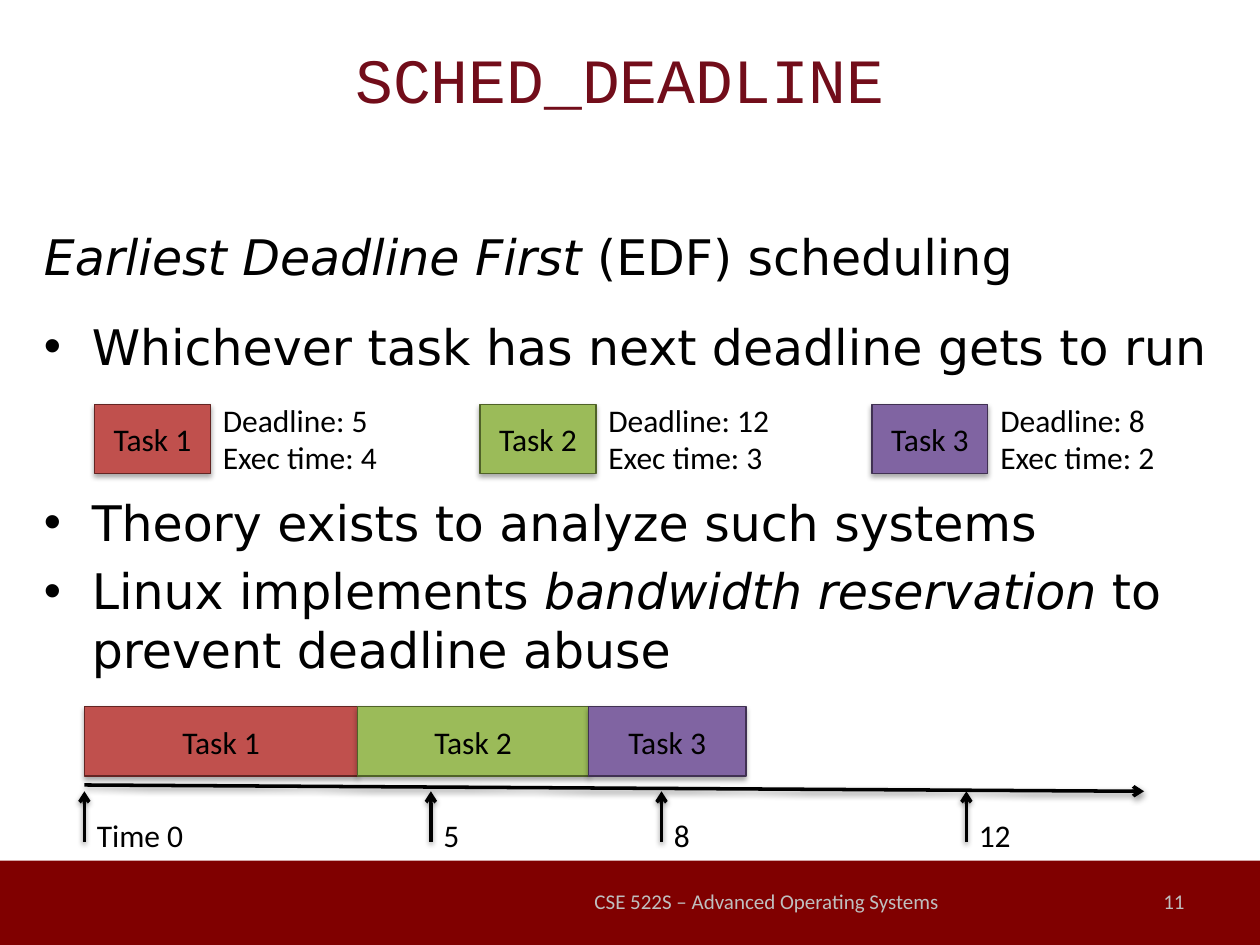
from lxml import etree
from pptx import Presentation
from pptx.dml.color import RGBColor
from pptx.enum.shapes import MSO_CONNECTOR, MSO_SHAPE
from pptx.enum.text import MSO_ANCHOR, MSO_AUTO_SIZE, PP_ALIGN
from pptx.oxml.ns import qn
from pptx.util import Inches, Pt

RECTANGLE = MSO_SHAPE.RECTANGLE
STRAIGHT = MSO_CONNECTOR.STRAIGHT
MIDDLE, TOP = MSO_ANCHOR.MIDDLE, MSO_ANCHOR.TOP
LEFT, CENTER, RIGHT = PP_ALIGN.LEFT, PP_ALIGN.CENTER, PP_ALIGN.RIGHT
GROW = MSO_AUTO_SIZE.SHAPE_TO_FIT_TEXT

BLACK = RGBColor(0x00, 0x00, 0x00)
MAROON = RGBColor(0x80, 0x00, 0x00)
TITLE_RED = RGBColor(0x72, 0x0D, 0x1A)
FOOTER_GRAY = RGBColor(0xBF, 0xBF, 0xBF)
RED, DARK_RED = RGBColor(0xC0, 0x50, 0x4D), RGBColor(0x63, 0x25, 0x23)
GREEN, DARK_GREEN = RGBColor(0x9B, 0xBB, 0x59), RGBColor(0x4F, 0x62, 0x28)
PURPLE, DARK_PURPLE = RGBColor(0x80, 0x64, 0xA2), RGBColor(0x40, 0x31, 0x52)

# Name, fill, outline, legend left, deadline, execution time, bar width
TASKS = [
    ("Task 1", RED, DARK_RED, 0.75, 5, 4, 2.17),
    ("Task 2", GREEN, DARK_GREEN, 3.81, 12, 3, 1.83),
    ("Task 3", PURPLE, DARK_PURPLE, 6.92, 8, 2, 1.25),
]
# Label, position, label width
TIME_MARKS = [("Time 0", 0.67, 0.9), ("5", 3.42, 0.33),
              ("8", 5.25, 0.33), ("12", 7.67, 0.46)]
# Space before in points, bulleted, (text, italic) runs
BODY = [
    (0, False, [("Earliest Deadline First", True), (" (EDF) scheduling", False)]),
    (17.5, True, [("Whichever task has next deadline gets to run", False)]),
    (67, True, [("Theory exists to analyze such systems", False)]),
    (5.5, True, [("Linux implements ", False), ("bandwidth reservation", True),
                 (" to prevent deadline abuse", False)]),
]
TIMELINE_LEFT = 0.67
BOX_HEIGHT = 0.55
LEGEND_BOX_WIDTH, LEGEND_TEXT_WIDTH = 0.92, 1.55


def set_font(paragraph, size, color=BLACK, name="Calibri"):
    font = paragraph.font
    font.size, font.name = Pt(size), name
    font.color.rgb = color


def add_shadow(shape, opacity, distance):
    properties = shape._element.spPr
    effects = properties.find(qn("a:effectLst"))
    if effects is None:
        effects = etree.SubElement(properties, qn("a:effectLst"))
    shadow = etree.SubElement(effects, qn("a:outerShdw"), blurRad=str(Pt(3.1)),
                              dist=str(Pt(distance)), dir="5400000", rotWithShape="0")
    color = etree.SubElement(shadow, qn("a:srgbClr"), val=str(BLACK))
    etree.SubElement(color, qn("a:alpha"), val=str(opacity * 1000))


def add_text(shapes, text, left, top, width, height, size=18, color=BLACK,
             name="Calibri", align=LEFT, anchor=TOP, wrap=True):
    box = shapes.add_textbox(Inches(left), Inches(top), Inches(width), Inches(height))
    frame = box.text_frame
    frame.word_wrap, frame.vertical_anchor = wrap, anchor
    if not wrap:
        frame.auto_size = GROW
    paragraph = frame.paragraphs[0]
    paragraph.text, paragraph.alignment = text, align
    set_font(paragraph, size, color, name)


def add_rectangle(shapes, left, top, width, height, fill):
    rectangle = shapes.add_shape(RECTANGLE, Inches(left), Inches(top),
                                 Inches(width), Inches(height))
    rectangle.shadow.inherit = False
    rectangle.fill.solid()
    rectangle.fill.fore_color.rgb = fill
    rectangle.line.fill.background()
    return rectangle


def add_task_box(shapes, name, left, top, width, fill, outline):
    task = add_rectangle(shapes, left, top, width, BOX_HEIGHT, fill)
    task.line.color.rgb = outline
    task.line.width = Pt(0.75)
    add_shadow(task, 35, 1.8)
    task.text_frame.vertical_anchor = MIDDLE
    paragraph = task.text_frame.paragraphs[0]
    paragraph.text, paragraph.alignment = name, CENTER
    set_font(paragraph, 18)


def add_arrow(shapes, x1, y1, x2, y2):
    arrow = shapes.add_connector(STRAIGHT, Inches(x1), Inches(y1), Inches(x2), Inches(y2))
    arrow.line.color.rgb = BLACK
    arrow.line.width = Pt(2)
    etree.SubElement(arrow._element.spPr.find(qn("a:ln")), qn("a:tailEnd"), type="arrow")
    add_shadow(arrow, 38, 1.6)


def add_bullet(paragraph):
    properties = paragraph._p.get_or_add_pPr()
    properties.set("marL", str(Inches(0.38)))
    properties.set("indent", str(Inches(-0.38)))
    etree.SubElement(properties, qn("a:buFont"), typeface="Arial")
    etree.SubElement(properties, qn("a:buChar"), char="•")


def add_body(shapes):
    box = shapes.add_textbox(Inches(0.25), Inches(1.75), Inches(9.58), Inches(4.95))
    frame = box.text_frame
    frame.word_wrap = True
    for index, (space, bulleted, runs) in enumerate(BODY):
        paragraph = frame.add_paragraph() if index else frame.paragraphs[0]
        if space:
            paragraph.space_before = Pt(space)
        if bulleted:
            add_bullet(paragraph)
        set_font(paragraph, 28, name="DejaVu Sans")
        for text, italic in runs:
            run = paragraph.add_run()
            run.text = text
            if italic:
                run.font.italic = True


def add_legend(shapes):
    for name, fill, outline, left, deadline, exec_time, _ in TASKS:
        add_task_box(shapes, name, left, 3.21, LEGEND_BOX_WIDTH, fill, outline)
        add_text(shapes, f"Deadline: {deadline}\nExec time: {exec_time}",
                 left + LEGEND_BOX_WIDTH, 3.13, LEGEND_TEXT_WIDTH, 0.71, wrap=False)


def add_timeline(shapes):
    add_arrow(shapes, TIMELINE_LEFT, 6.23, 9.08, 6.28)
    left = TIMELINE_LEFT
    for name, fill, outline, *_, width in TASKS:
        add_task_box(shapes, name, left, 5.61, width, fill, outline)
        left += width
    for label, x, width in TIME_MARKS:
        add_arrow(shapes, x, 6.68, x, 6.28)
        add_text(shapes, label, x, 6.43, width, 0.4, wrap=False)


def main():
    presentation = Presentation()
    presentation.slide_width, presentation.slide_height = Inches(10), Inches(7.5)
    shapes = presentation.slides.add_slide(presentation.slide_layouts[6]).shapes

    # Footer band
    add_rectangle(shapes, 0, 6.83, 10, 0.67, MAROON)
    add_text(shapes, "CSE 522S – Advanced Operating Systems", 4.5, 6.95, 3.17, 0.4,
             12, FOOTER_GRAY, align=CENTER, anchor=MIDDLE)
    add_text(shapes, "11", 7.17, 6.95, 2.33, 0.4,
             12, FOOTER_GRAY, align=RIGHT, anchor=MIDDLE)

    # Title and body
    add_text(shapes, "SCHED_DEADLINE", 0.42, 0.27, 9, 1.25, 36, TITLE_RED,
             "Courier New", CENTER)
    add_body(shapes)

    # Task legend and schedule
    add_legend(shapes.add_group_shape().shapes)
    add_timeline(shapes.add_group_shape().shapes)

    presentation.save("out.pptx")


if __name__ == "__main__":
    main()
